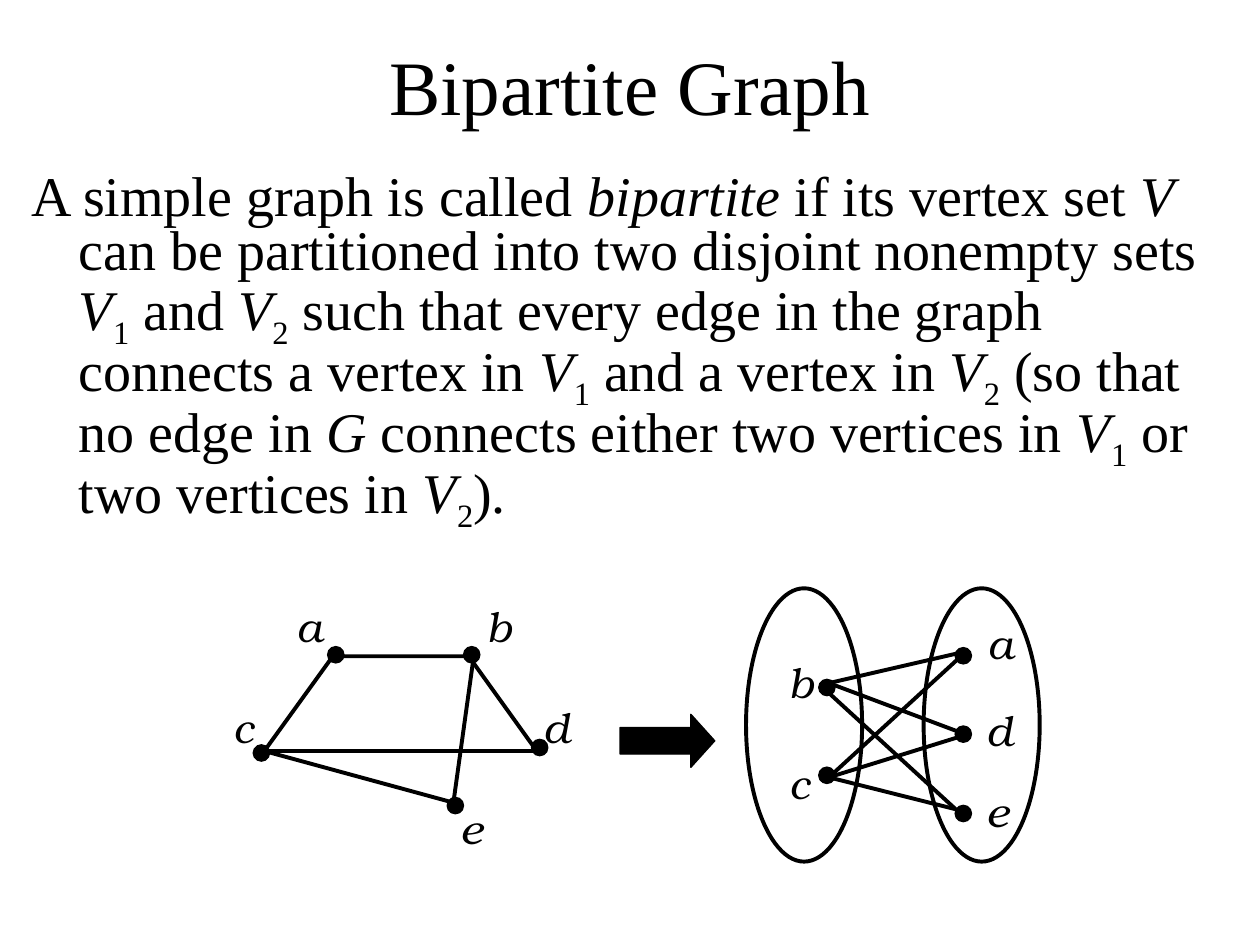
import pptx
import pptx.util
import pptx.dml.color
import pptx.enum.shapes
import pptx.enum.text
import pptx.oxml.ns
import lxml.etree

Cm, Pt = pptx.util.Cm, pptx.util.Pt
SHAPE = pptx.enum.shapes.MSO_SHAPE
ALIGN = pptx.enum.text.PP_ALIGN
ANCHOR = pptx.enum.text.MSO_ANCHOR
BLACK = pptx.dml.color.RGBColor(0, 0, 0)
DOT = 0.33
LABEL_WIDTH, LABEL_HEIGHT = 1.2, 1.27

deck = pptx.Presentation()
deck.slide_width, deck.slide_height = Cm(25.4), Cm(19.05)
page = deck.slides.add_slide(deck.slide_layouts[5])


def add_span(para, text, size, face="Times New Roman", italic=False):
    span = para.add_run()
    span.text = text
    for name, value in {"name": face, "size": Pt(size), "italic": italic}.items():
        setattr(span.font, name, value)
    span.font.color.rgb = BLACK
    return span


def add_figure(kind, left, top, width, height, filled=True):
    """Add a black preset shape, either solid or only outlined."""
    shape = page.shapes.add_shape(kind, Cm(left), Cm(top), Cm(width), Cm(height))
    shape.shadow.inherit = False
    if filled:
        shape.fill.solid()
        shape.fill.fore_color.rgb = BLACK
    else:
        shape.fill.background()
    shape.line.color.rgb = BLACK
    shape.line.width = Pt(0.75 if filled else 2.25)
    return shape


# Title
title = page.shapes.title
for name, value in {"left": 1.27, "top": 0.43, "width": 22.86, "height": 2.54}.items():
    setattr(title, name, Cm(value))
title.text_frame.vertical_anchor = ANCHOR.MIDDLE
para = title.text_frame.paragraphs[0]
para.alignment = ALIGN.CENTER
add_span(para, "Bipartite Graph", 44)

# Definition: each entry is plain text, an italic word and its subscript
definition = [
    ("A simple graph is called ", "bipartite", ""),
    (" if its vertex set ", "V", ""),
    (" can be partitioned into two disjoint nonempty sets ", "V", "1"),
    (" and ", "V", "2"),
    (" such that every edge in the graph connects a vertex in ", "V", "1"),
    (" and a vertex in ", "V", "2"),
    (" (so that no edge in ", "G", ""),
    (" connects either two vertices in ", "V", "1"),
    (" or two vertices in ", "V", "2"),
    (").", "", ""),
]
box = page.shapes.add_textbox(Cm(0.64), Cm(3.38), Cm(24.13), Cm(8.05))
frame = box.text_frame
for name, value in {"word_wrap": True, "margin_left": 0, "margin_right": 0}.items():
    setattr(frame, name, value)
para = frame.paragraphs[0]
para.line_spacing = 0.8
properties = para._p.get_or_add_pPr()
properties.set("marL", str(Cm(0.95)))
properties.set("indent", str(-Cm(0.95)))
for plain, symbol, subscript in definition:
    add_span(para, plain, 32)
    if symbol:
        add_span(para, symbol, 32, italic=True)
    if subscript:
        span = add_span(para, subscript, 32)
        span._r.get_or_add_rPr().set("baseline", "-25000")

# Outline of the graph on the left, then the two vertex sets
corners = [(5.33, 15.14), (6.71, 13.23), (9.45, 13.23), (10.82, 15.14)]
builder = page.shapes.build_freeform(Cm(corners[0][0]), Cm(corners[0][1]), scale=1.0)
builder.add_line_segments([(Cm(x), Cm(y)) for x, y in corners[1:]], close=True)
trapezoid = builder.convert_to_shape()
trapezoid.shadow.inherit = False
trapezoid.fill.background()
trapezoid.line.color.rgb = BLACK
trapezoid.line.width = Pt(2.25)
for left in (15.04, 18.62):
    add_figure(SHAPE.OVAL, left, 11.86, 2.34, 5.51, filled=False)

# Remaining edges
edges = [
    (9.55, 13.23, 9.14, 16.18),
    (9.14, 16.18, 5.33, 15.14),
    (16.71, 13.77, 19.48, 13.13),
    (16.71, 13.77, 19.48, 14.81),
    (16.71, 13.97, 19.48, 16.51),
    (16.71, 15.67, 19.48, 13.13),
    (16.71, 15.67, 19.48, 14.81),
    (16.71, 15.67, 19.25, 16.31),
]
for edge in edges:
    line = page.shapes.add_connector(
        pptx.enum.shapes.MSO_CONNECTOR.STRAIGHT, *[Cm(value) for value in edge])
    line.line.color.rgb = BLACK
    line.line.width = Pt(2.25)
    lxml.etree.SubElement(line._element.spPr, pptx.oxml.ns.qn("a:effectLst"))

# Vertices: name, centre of the dot, centre of the label
vertices = [
    ("a", 6.77, 13.2, 6.25, 12.62),
    ("b", 9.51, 13.2, 10.06, 12.62),
    ("c", 5.27, 15.18, 4.92, 14.66),
    ("d", 10.88, 15.07, 11.23, 14.66),
    ("e", 9.18, 16.24, 9.51, 16.69),
    ("b", 16.67, 13.86, 16.15, 13.74),
    ("c", 16.67, 15.63, 16.11, 15.77),
    ("a", 19.42, 13.22, 20.16, 12.95),
    ("d", 19.42, 14.8, 20.16, 14.71),
    ("e", 19.42, 16.4, 20.12, 16.34),
]
for letter, x, y, label_x, label_y in vertices:
    add_figure(SHAPE.OVAL, x - DOT / 2, y - DOT / 2, DOT, DOT)
    label = page.shapes.add_textbox(
        Cm(label_x - LABEL_WIDTH / 2), Cm(label_y - LABEL_HEIGHT / 2),
        Cm(LABEL_WIDTH), Cm(LABEL_HEIGHT))
    label.text_frame.vertical_anchor = ANCHOR.MIDDLE
    para = label.text_frame.paragraphs[0]
    para.alignment = ALIGN.CENTER
    add_span(para, letter, 24, "TeX Gyre Bonum", italic=True)

arrow = add_figure(SHAPE.RIGHT_ARROW, 12.5, 14.4, 1.91, 1.07)
arrow.adjustments[1] = 0.45

deck.save("out.pptx")
